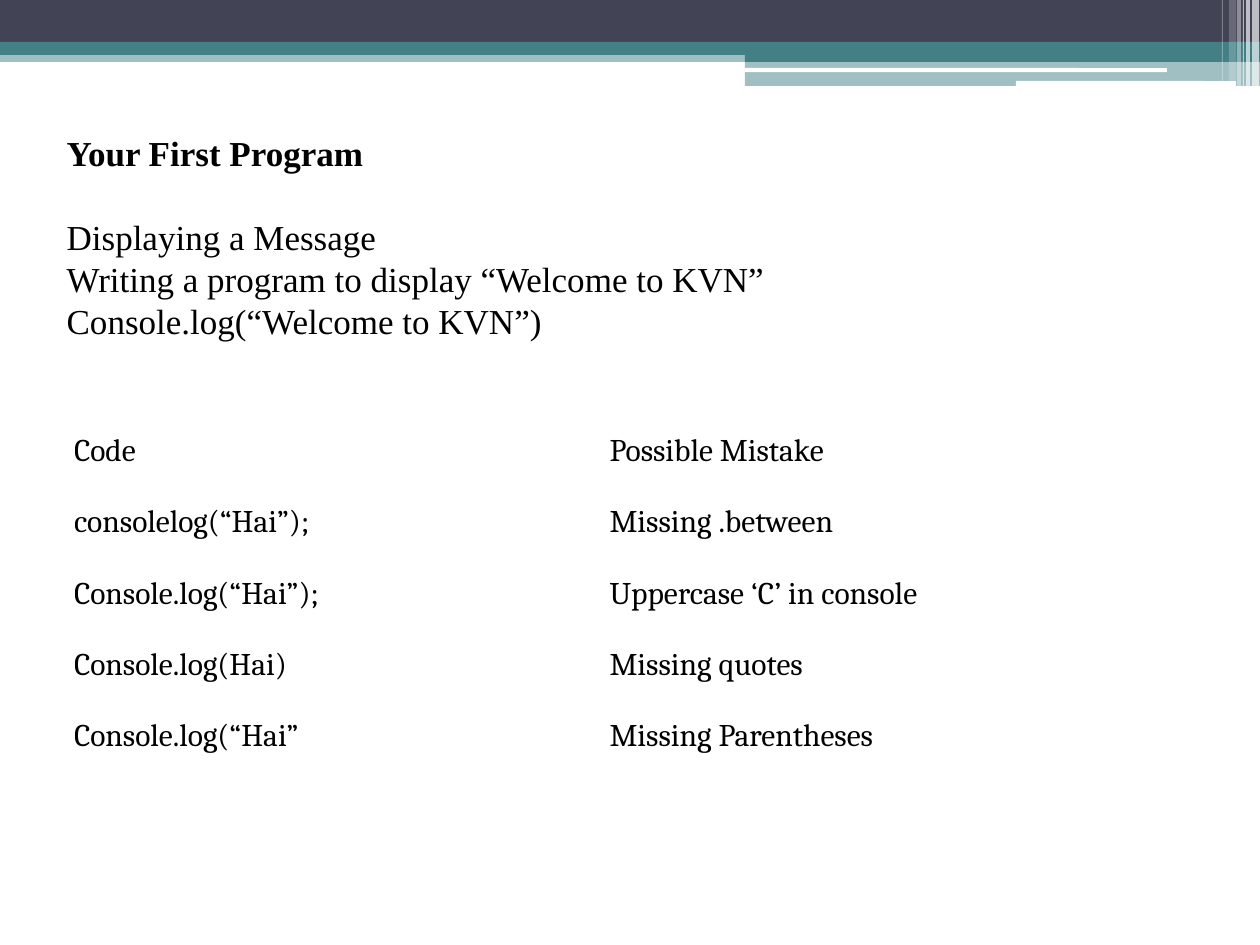
from typing import NamedTuple

from lxml.etree import SubElement
from pptx import Presentation
from pptx.dml.color import RGBColor
from pptx.enum.shapes import MSO_SHAPE
from pptx.enum.text import MSO_ANCHOR, MSO_AUTO_SIZE, PP_ALIGN
from pptx.oxml.ns import qn
from pptx.util import Emu, Pt

PX_PER_INCH = 126
EMU_PER_PX = 914400 / PX_PER_INCH

BLACK = RGBColor(0x00, 0x00, 0x00)
WHITE = RGBColor(0xFF, 0xFF, 0xFF)
SLATE = RGBColor(0x42, 0x44, 0x56)
TEAL = RGBColor(0x43, 0x80, 0x86)

TITLE_FONT = {"name": "Times New Roman", "size": Pt(20), "bold": True}
BODY_FONT = {"name": "Times New Roman", "size": Pt(20), "bold": False}
TABLE_FONT = {"name": "Cambria", "size": Pt(18), "bold": False}

TITLE = "Your First Program"
BODY_LINES = [
    "Displaying a Message",
    "Writing a program to display “Welcome to KVN”",
    "Console.log(“Welcome to KVN”)",
]
MISTAKES = [
    ("Code", "Possible Mistake"),
    ("consolelog(“Hai”);", "Missing .between"),
    ("Console.log(“Hai”);", "Uppercase ‘C’ in console"),
    ("Console.log(Hai)", "Missing quotes"),
    ("Console.log(“Hai”", "Missing Parentheses"),
]


class Box(NamedTuple):
    left: int
    top: int
    width: int
    height: int


class Bar(NamedTuple):
    box: Box
    color: RGBColor
    opacity: int = 100
    rounded: bool = False


class Stripe(NamedTuple):
    left: int
    width: int
    height: int
    opacity: int


BANNER_BARS = [
    Bar(Box(0, 50, 1260, 12), TEAL, 50),
    Bar(Box(0, 0, 1260, 43), SLATE),
    Bar(Box(0, 42, 1260, 13), TEAL),
    Bar(Box(745, 49, 515, 13), TEAL),
    Bar(Box(745, 61, 515, 25), TEAL, 50),
    Bar(Box(745, 68, 422, 4), WHITE, rounded=True),
    Bar(Box(1016, 81, 220, 5), WHITE, rounded=True),
]
EDGE_STRIPES = [
    Stripe(1252, 7, 86, 65),
    Stripe(1246, 4, 86, 65),
    Stripe(1243, 1, 86, 60),
    Stripe(1237, 4, 86, 40),
    Stripe(1229, 7, 81, 20),
    Stripe(1222, 1, 81, 30),
]
TITLE_BOX = Box(54, 125, 1181, 55)
BODY_BOX = Box(54, 209, 1181, 140)
TABLE_BOX = Box(74, 433, 1071, 357)


def px(length: float) -> Emu:
    return Emu(round(length * EMU_PER_PX))


def place(shape, box: Box) -> None:
    for name, length in box._asdict().items():
        setattr(shape, name, px(length))


def format_font(font, values: dict) -> None:
    for name, value in values.items():
        setattr(font, name, value)
    font.color.rgb = BLACK


def draw_bar(slide, bar: Bar) -> None:
    kind = MSO_SHAPE.ROUNDED_RECTANGLE if bar.rounded else MSO_SHAPE.RECTANGLE
    shape = slide.shapes.add_shape(kind, *map(px, bar.box))
    shape.shadow.inherit = False
    shape.line.fill.background()
    shape.fill.solid()
    shape.fill.fore_color.rgb = bar.color
    if bar.opacity < 100:
        color = shape.fill._xPr.find(f".//{qn('a:srgbClr')}")
        SubElement(color, qn("a:alpha"), val=str(bar.opacity * 1000))


def fill_placeholder(placeholder, box: Box, lines: list[str], font: dict) -> None:
    """Write left-aligned lines without bullets or paragraph gaps."""
    place(placeholder, box)
    frame = placeholder.text_frame
    frame.text = "\n".join(lines)
    frame.word_wrap = True
    frame.auto_size = MSO_AUTO_SIZE.NONE
    frame.vertical_anchor = MSO_ANCHOR.TOP
    for paragraph in frame.paragraphs:
        paragraph.alignment = PP_ALIGN.LEFT
        paragraph.space_before = Pt(0)
        format_font(paragraph.runs[0].font, font)
        properties = paragraph._p.get_or_add_pPr()
        properties.set("marL", "0")
        properties.set("indent", "0")
        SubElement(properties, qn("a:buNone"))


def draw_table(slide, box: Box, rows: list[tuple[str, str]]) -> None:
    frame = slide.shapes.add_table(len(rows), len(rows[0]), *map(px, box))
    table = frame.table
    table.first_row = False
    table.horz_banding = False
    for row_index, texts in enumerate(rows):
        for column_index, text in enumerate(texts):
            cell = table.cell(row_index, column_index)
            cell.text = text
            cell.fill.solid()
            cell.fill.fore_color.rgb = WHITE
            for side in ("left", "top", "right", "bottom"):
                setattr(cell, f"margin_{side}", 0)
            format_font(cell.text_frame.paragraphs[0].runs[0].font, TABLE_FONT)


def main() -> None:
    presentation = Presentation()
    presentation.slide_width = px(1260)
    presentation.slide_height = px(945)
    slide = presentation.slides.add_slide(presentation.slide_layouts[1])

    for bar in BANNER_BARS:
        draw_bar(slide, bar)
    for stripe in EDGE_STRIPES:
        box = Box(stripe.left, 0, stripe.width, stripe.height)
        draw_bar(slide, Bar(box, WHITE, stripe.opacity))

    fill_placeholder(slide.shapes.title, TITLE_BOX, [TITLE], TITLE_FONT)
    fill_placeholder(slide.placeholders[1], BODY_BOX, BODY_LINES, BODY_FONT)
    draw_table(slide, TABLE_BOX, MISTAKES)

    presentation.save("out.pptx")


if __name__ == "__main__":
    main()
